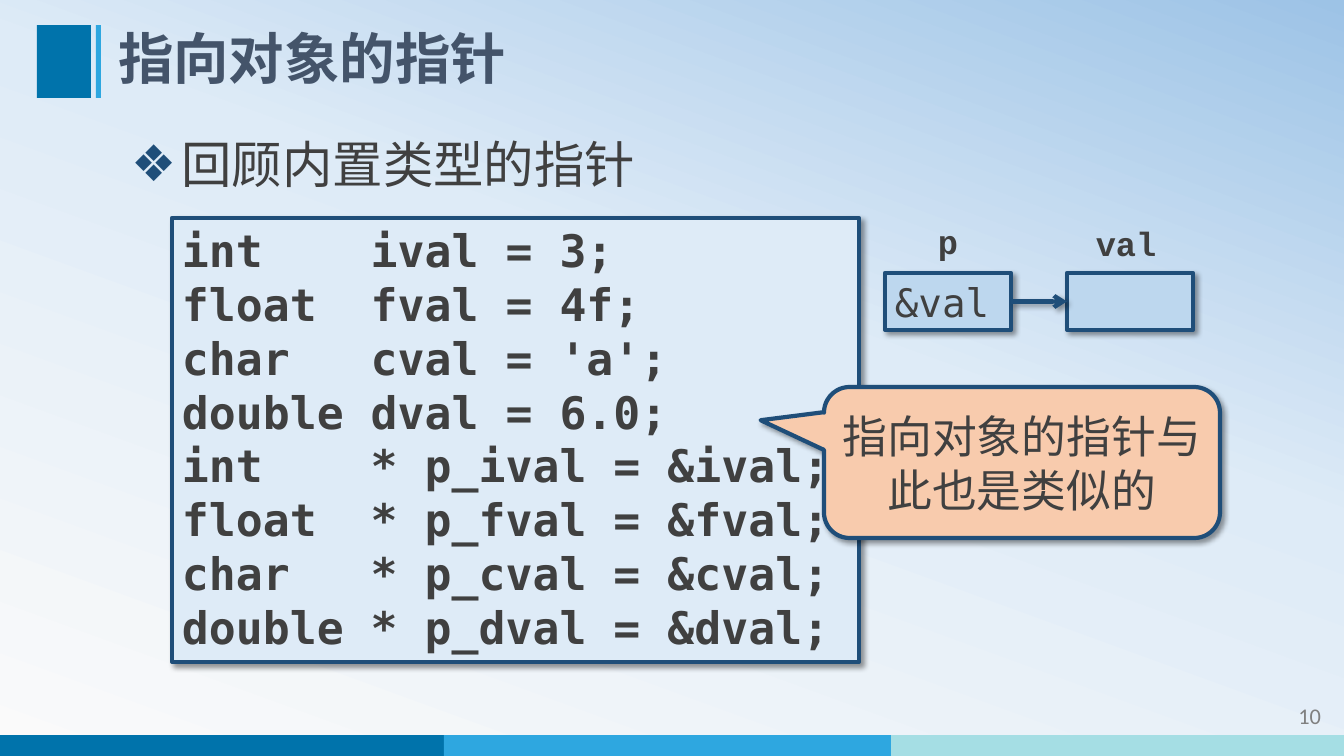
from lxml import etree
from pptx import Presentation
from pptx import util as u
from pptx.dml import color
from pptx.enum import shapes, text
from pptx.oxml import ns, parse_xml

PX = 914400 / 100.8
SANS, MONO, COURIER = "Noto Sans CJK SC", "DejaVu Sans Mono", "Courier New"
NAVY, INK = "1F4E79", "404040"
LEFT, CENTER, RIGHT = text.PP_ALIGN.LEFT, text.PP_ALIGN.CENTER, text.PP_ALIGN.RIGHT
TOP, MIDDLE = text.MSO_ANCHOR.TOP, text.MSO_ANCHOR.MIDDLE
NAMESPACES = ns.nsdecls("a", "p")

CODE = [
    "int    ival = 3;",
    "float  fval = 4f;",
    "char   cval = 'a';",
    "double dval = 6.0;",
    "int    * p_ival = &ival;",
    "float  * p_fval = &fval;",
    "char   * p_cval = &cval;",
    "double * p_dval = &dval;",
]


def px(length):
    return u.Emu(round(length * PX))


def rgb(value):
    return color.RGBColor.from_string(value)


def add_element(parent, tag, **attributes):
    return etree.SubElement(parent, ns.qn(tag), attributes)


class SlideBuilder:
    def __init__(self, presentation):
        self.slide = presentation.slides.add_slide(presentation.slide_layouts[1])

    def background(self, stops, angle):
        stop_xml = "".join(
            f'<a:gs pos="{position * 1000}"><a:srgbClr val="{value}"/></a:gs>'
            for position, value in stops)
        self.slide.element.find(ns.qn("p:cSld")).insert(0, parse_xml(
            f'<p:bg {NAMESPACES}><p:bgPr><a:gradFill rotWithShape="1">'
            f'<a:gsLst>{stop_xml}</a:gsLst><a:lin ang="{angle * 60000}" scaled="0"/>'
            '</a:gradFill><a:effectLst/></p:bgPr></p:bg>'))

    def shadow(self, shape):
        properties = shape.element.spPr
        for effects in properties.findall(ns.qn("a:effectLst")):
            properties.remove(effects)
        properties.append(parse_xml(
            f'<a:effectLst {NAMESPACES}><a:outerShdw blurRad="50800" dist="38100" '
            'dir="2700000" algn="tl" rotWithShape="0"><a:srgbClr val="000000">'
            '<a:alpha val="40000"/></a:srgbClr></a:outerShdw></a:effectLst>'))

    def place(self, shape, left, top, width, height):
        shape.left, shape.top = px(left), px(top)
        shape.width, shape.height = px(width), px(height)

    def set_text(self, shape, lines, size, font, ink=INK, bold=False, align=LEFT,
                 anchor=TOP, spacing=1.0, grow=False, bullet=None):
        frame = shape.text_frame
        frame.word_wrap = True
        frame.vertical_anchor = anchor
        frame.auto_size = (text.MSO_AUTO_SIZE.SHAPE_TO_FIT_TEXT if grow
                           else text.MSO_AUTO_SIZE.NONE)
        frame.text = "\n".join(lines)
        for paragraph in frame.paragraphs:
            paragraph.alignment = align
            paragraph.line_spacing = spacing
            paragraph.space_before = u.Pt(0)
            properties = paragraph._p.get_or_add_pPr()
            if bullet:
                properties.set("marL", "457200")
                properties.set("indent", "-457200")
                add_element(add_element(properties, "a:buClr"), "a:srgbClr", val=NAVY)
                add_element(properties, "a:buChar", char=bullet)
            paragraph.font.size = u.Pt(size)
            paragraph.font.bold = bold
            paragraph.font.name = font
            paragraph.font.color.rgb = rgb(ink)
            add_element(properties.find(ns.qn("a:defRPr")), "a:ea", typeface=font)

    def title(self, wording, box):
        shape = self.slide.shapes.title
        self.place(shape, *box)
        self.set_text(shape, [wording], 39.6, SANS, "44546A", bold=True,
                      anchor=MIDDLE, spacing=0.9)

    def bullets(self, lines, box):
        shape = self.slide.placeholders[1]
        self.place(shape, *box)
        self.set_text(shape, lines, 36, SANS, spacing=1.5, grow=True, bullet="❖")

    def block(self, box, fill, outlined=False, kind=shapes.MSO_SHAPE.RECTANGLE):
        shape = self.slide.shapes.add_shape(kind, *map(px, box))
        shape.shadow.inherit = False
        shape.fill.solid()
        shape.fill.fore_color.rgb = rgb(fill)
        if outlined:
            shape.line.color.rgb = rgb(NAVY)
            shape.line.width = u.Pt(3)
            self.shadow(shape)
        else:
            shape.line.fill.background()
        return shape

    def label(self, wording, box, size, font, **style):
        shape = self.slide.shapes.add_textbox(*map(px, box))
        self.set_text(shape, [wording], size, font, **style)

    def callout(self, wording, box, fill, adjustments):
        shape = self.block(box, fill, True, shapes.MSO_SHAPE.ROUNDED_RECTANGULAR_CALLOUT)
        for index, value in enumerate(adjustments):
            shape.adjustments[index] = value
        self.set_text(shape, [wording], 32, SANS, align=CENTER, anchor=MIDDLE)

    def arrow(self, source, target):
        connector = self.slide.shapes.add_connector(
            shapes.MSO_CONNECTOR.STRAIGHT, 0, 0, 0, 0)
        connector.begin_connect(source, 3)
        connector.end_connect(target, 1)
        connector.line.color.rgb = rgb(NAVY)
        connector.line.width = u.Pt(3)
        add_element(connector.element.spPr.find(ns.qn("a:ln")), "a:tailEnd", type="arrow")
        self.shadow(connector)


def main():
    presentation = Presentation()
    presentation.slide_width, presentation.slide_height = px(1344), px(756)
    builder = SlideBuilder(presentation)

    builder.background([(0, "FAFAFA"), (58, "DEEBF7"), (100, "9DC3E6")], 290)
    for index, fill in enumerate(["0073AB", "2EA7E0", "A5DEE4"]):
        builder.block((447 * index - 3, 735, 453, 21), fill)
    builder.block((37, 25, 54, 73), "0073AB")
    builder.block((96, 25, 5, 73), "2EA7E0")
    builder.label("10", (1171, 697, 160, 40), 16, "Calibri", ink="808080", align=RIGHT)

    builder.title("指向对象的指针", (108, 25, 1095, 73))
    builder.bullets(["回顾内置类型的指针"], (121, 98, 1069, 91))

    code = builder.block((172, 218, 687, 444), "DEEBF7", True)
    builder.set_text(code, CODE, 32, MONO, bold=True, grow=True)
    builder.callout("指向对象的指针与此也是类似的", (824, 387, 396, 151), "F8CBAD",
                    (-0.66, -0.28, 0.17))

    value = builder.block((1067, 273, 126, 57), "BDD7EE", True)
    pointer = builder.block((885, 273, 126, 57), "BDD7EE", True)
    builder.set_text(pointer, ["&val"], 28, MONO, grow=True)
    builder.arrow(pointer, value)
    for name, box in [("p", (893, 216, 110, 50)), ("val", (1067, 218, 118, 50))]:
        builder.label(name, box, 24, COURIER, bold=True, align=CENTER, grow=True)

    presentation.save("out.pptx")


if __name__ == "__main__":
    main()
